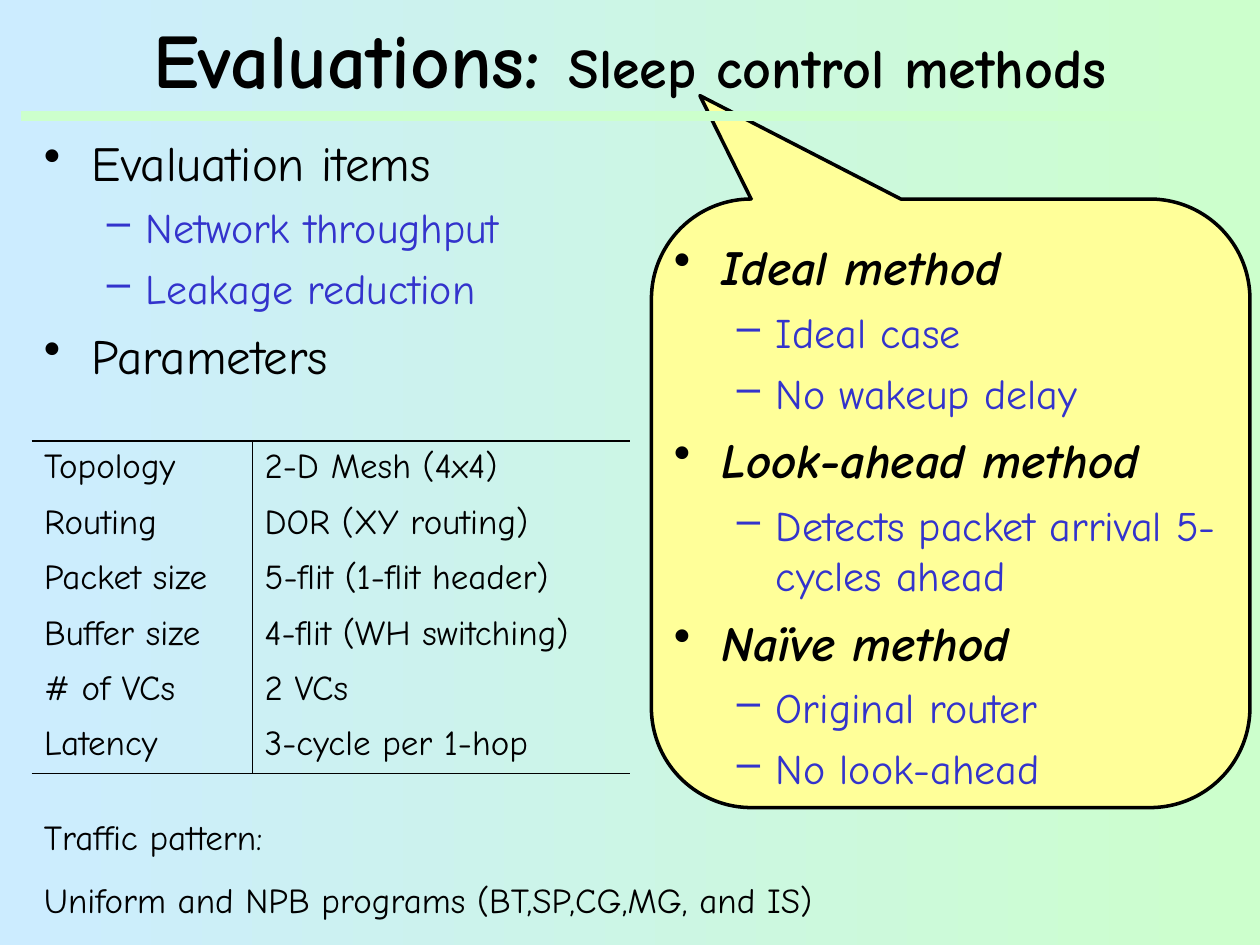
from dataclasses import dataclass

from pptx import Presentation
from pptx import util as u
from pptx.dml.color import RGBColor
from pptx.enum import shapes, text
from pptx.oxml.ns import qn
from lxml import etree


@dataclass(frozen=True)
class Theme:
    font: str = "Comic Neue"
    ink: str = "000000"
    accent: str = "3333CC"
    callout: str = "FFFF99"
    sky: str = "CCECFF"
    mint: str = "CCFFCC"
    title: int = 44
    subtitle: int = 32
    heading: int = 28
    item: int = 24
    small: int = 20


THEME = Theme()

TITLE = [("Evaluations: ", THEME.title), ("Sleep control methods", THEME.subtitle)]
OVERVIEW = [
    ("Evaluation items", ["Network throughput", "Leakage reduction"]),
    ("Parameters", []),
]
METHODS = [
    ("Ideal method", ["Ideal case", "No wakeup delay"]),
    ("Look-ahead method", ["Detects packet arrival 5-cycles ahead"]),
    ("Naïve method", ["Original router", "No look-ahead"]),
]
PARAMETERS = [
    ("Topology", "2-D Mesh (4x4)"),
    ("Routing", "DOR (XY routing)"),
    ("Packet size", "5-flit (1-flit header)"),
    ("Buffer size", "4-flit (WH switching)"),
    ("# of VCs", "2 VCs"),
    ("Latency", "3-cycle per 1-hop"),
]
TRAFFIC = ["Traffic pattern:", "Uniform and NPB programs (BT,SP,CG,MG, and IS)"]

COLUMN_WIDTHS = (1.75, 3)
TABLE_HEIGHT = 2.64
RULE, DIVIDER = 1.08, 0.45
BULLETS = [("•", 0.38, -0.38), ("–", 0.81, -0.31)]


def rgb(value):
    return RGBColor.from_string(value)


def box(*lengths):
    return [u.Inches(length) for length in lengths]


def style(font, size, color=THEME.ink, bold=False, italic=False):
    font.name, font.size = THEME.font, u.Pt(size)
    font.color.rgb = rgb(color)
    font.bold, font.italic = bold, italic


def add_frame(slide, *place):
    frame = slide.shapes.add_textbox(*box(*place)).text_frame
    frame.word_wrap = True
    return frame


def add_paragraphs(frame, lines):
    for index, line in enumerate(lines):
        paragraph = frame.paragraphs[0] if index == 0 else frame.add_paragraph()
        paragraph.text = line
        yield paragraph


def set_bullet(paragraph, level, color):
    mark, margin, indent = BULLETS[level]
    paragraph.level = level
    properties = paragraph._p.get_or_add_pPr()
    properties.set("marL", str(u.Inches(margin)))
    properties.set("indent", str(u.Inches(indent)))
    tint = etree.SubElement(properties, qn("a:buClr"))
    etree.SubElement(tint, qn("a:srgbClr"), val=color)
    etree.SubElement(properties, qn("a:buChar"), char=mark)


def add_outline(slide, place, sections, emphasis=False):
    entries = []
    for heading, items in sections:
        entries += [(heading, 0)] + [(item, 1) for item in items]
    frame = add_frame(slide, *place)
    paragraphs = add_paragraphs(frame, [line for line, _ in entries])
    for paragraph, (_, level) in zip(paragraphs, entries):
        color = (THEME.ink, THEME.accent)[level]
        strong = emphasis and level == 0
        paragraph.space_before = u.Pt((7, 6)[level])
        set_bullet(paragraph, level, color)
        style(paragraph.font, (THEME.heading, THEME.item)[level], color, strong, strong)


def set_borders(cell, widths):
    properties = cell._tc.get_or_add_tcPr()
    for side in "LRTB":
        width = widths.get(side, 0)
        edge = etree.SubElement(properties, qn("a:ln" + side), w=str(u.Pt(width)))
        if width:
            fill = etree.SubElement(edge, qn("a:solidFill"))
            etree.SubElement(fill, qn("a:srgbClr"), val=THEME.ink)
        else:
            etree.SubElement(edge, qn("a:noFill"))


def add_parameters(slide):
    count = len(PARAMETERS)
    place = box(0.25, 3.5, sum(COLUMN_WIDTHS), TABLE_HEIGHT)
    table = slide.shapes.add_table(count, len(COLUMN_WIDTHS), *place).table
    table.first_row = table.horz_banding = False
    for column, width in zip(table.columns, COLUMN_WIDTHS):
        column.width = u.Inches(width)
    for row, values in enumerate(PARAMETERS):
        for column, value in enumerate(values):
            cell = table.cell(row, column)
            cell.text = value
            paragraph = cell.text_frame.paragraphs[0]
            paragraph.space_before = u.Pt(5)
            style(paragraph.font, THEME.small)
            set_borders(cell, {
                "RL"[column]: DIVIDER,
                "T": RULE if row == 0 else 0,
                "B": RULE if row == count - 1 else 0,
            })
            cell.fill.background()


def add_title(slide):
    rule = slide.shapes.add_connector(
        shapes.MSO_CONNECTOR.STRAIGHT, *box(0.17, 0.92, 9.92, 0.92))
    rule.line.color.rgb = rgb(THEME.mint)
    rule.line.width = u.Pt(6)
    etree.SubElement(rule._element.spPr, qn("a:effectLst"))

    frame = add_frame(slide, 0.25, 0.08, 9.5, 0.75)
    frame.vertical_anchor = text.MSO_ANCHOR.MIDDLE
    heading = frame.paragraphs[0]
    heading.alignment = text.PP_ALIGN.CENTER
    for words, size in TITLE:
        run = heading.add_run()
        run.text = words
        style(run.font, size, bold=True)


def add_callout(slide):
    callout = slide.shapes.add_shape(
        shapes.MSO_SHAPE.ROUNDED_RECTANGULAR_CALLOUT, *box(5.17, 1.58, 4.75, 4.83))
    for index, value in enumerate((-0.419, -0.67, 0.167)):
        callout.adjustments[index] = value
    callout.shadow.inherit = False
    callout.fill.solid()
    callout.fill.fore_color.rgb = rgb(THEME.callout)
    callout.line.color.rgb = rgb(THEME.ink)
    callout.line.width = u.Pt(2)


def add_traffic(slide):
    frame = add_frame(slide, 0.25, 6.42, 6.75, 0.94)
    for paragraph in add_paragraphs(frame, TRAFFIC):
        paragraph.space_before = u.Pt(12.5)
        style(paragraph.font, THEME.small)


def main():
    deck = Presentation()
    deck.slide_width, deck.slide_height = box(10, 7.5)
    slide = deck.slides.add_slide(deck.slide_layouts[6])
    backdrop = slide.background.fill
    backdrop.gradient()
    backdrop.gradient_angle = 0
    for stop, color in zip(backdrop.gradient_stops, (THEME.sky, THEME.mint)):
        stop.color.rgb = rgb(color)

    add_callout(slide)
    add_title(slide)
    add_outline(slide, (0.25, 1, 6.58, 2.42), OVERVIEW)
    add_outline(slide, (5.25, 1.83, 4.67, 4.67), METHODS, emphasis=True)
    add_parameters(slide)
    add_traffic(slide)
    deck.save("out.pptx")


if __name__ == "__main__":
    main()
